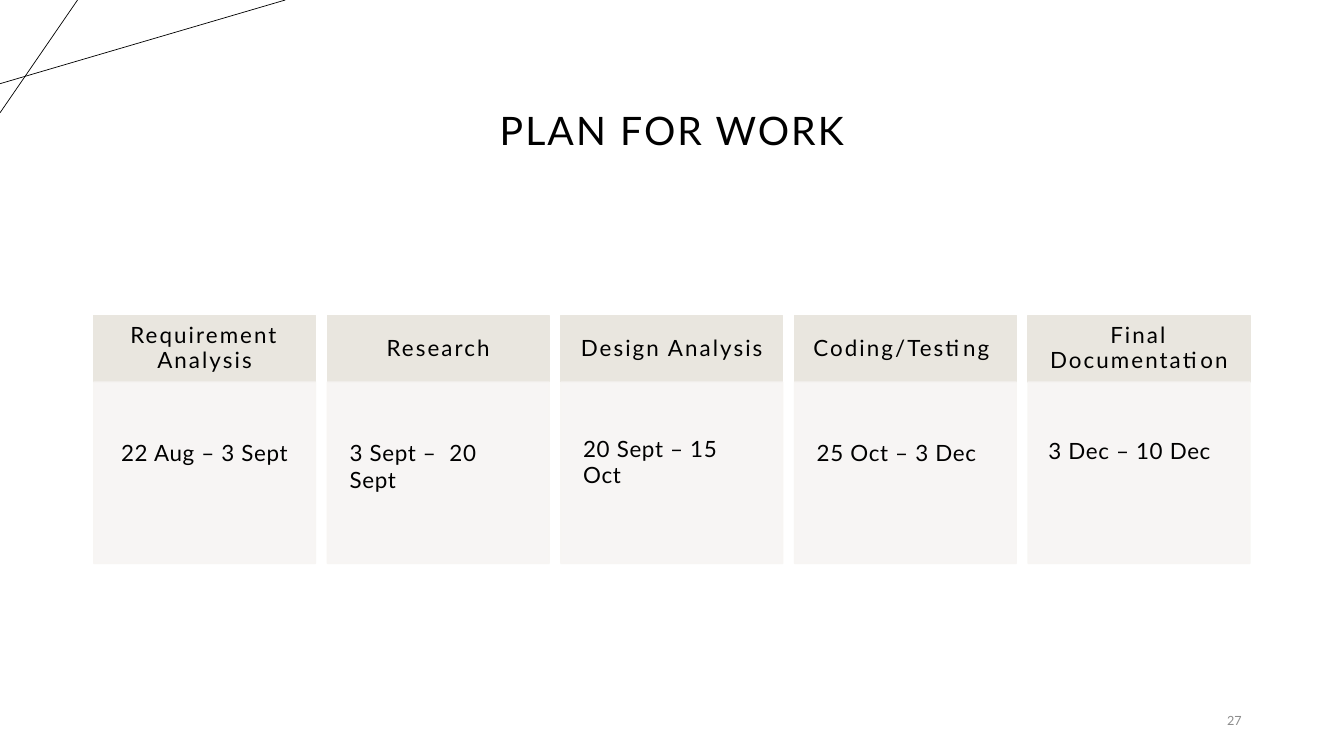
from dataclasses import dataclass

import pptx
import pptx.dml.color
import pptx.enum.shapes
import pptx.enum.text
import pptx.oxml.ns
import pptx.util
from lxml import etree

Pt = pptx.util.Pt
ALIGN = pptx.enum.text.PP_ALIGN
ANCHOR = pptx.enum.text.MSO_ANCHOR


@dataclass(frozen=True)
class Theme:
    font: str = "Lato"
    ink: str = "000000"
    muted: str = "8C8C8C"
    header: str = "E9E6DF"
    body: str = "F7F5F3"
    title_size: int = 28
    text_size: int = 16
    number_size: int = 9


THEME = Theme()
COLUMN_LEFT, COLUMN_PITCH, COLUMN_WIDTH = 67, 166.85, 158.4
HEADER_TOP, HEADER_HEIGHT, BODY_HEIGHT = 225.4, 47.5, 129.6

# Phase, dates, alignment of the dates, side inset, top inset
PHASES = [
    ("Requirement Analysis", "22 Aug – 3 Sept", ALIGN.CENTER, 15.84, 40.6),
    ("Research", "3 Sept –  20 Sept", ALIGN.LEFT, 15.84, 40.6),
    ("Design Analysis", "20 Sept – 15 Oct", ALIGN.LEFT, 15.84, 37.6),
    ("Coding/Testing ", "25 Oct – 3 Dec", ALIGN.LEFT, 15.84, 40.6),
    ("Final Documentation", "3 Dec – 10 Dec", ALIGN.LEFT, 14.4, 39.2),
]
CORNER_LINES = [((0, 59.8), (203.8, 0)), ((55.4, 0), (0, 80.6))]


def rgb(value):
    return pptx.dml.color.RGBColor.from_string(value)


def set_values(target, values):
    for name, value in values.items():
        setattr(target, name, value)


def set_text(shape, text, size, color=THEME.ink, tracking=0, frame=None, paragraph=None):
    """Write one paragraph; tracking is in points, frame and paragraph hold format values."""
    text_frame = shape.text_frame
    set_values(text_frame, {"word_wrap": True, **(frame or {})})
    line = text_frame.paragraphs[0]
    set_values(line, paragraph or {})
    run = line.add_run()
    run.text = text
    set_values(run.font, {"name": THEME.font, "size": Pt(size)})
    run.font.color.rgb = rgb(color)
    run.font._element.set("spc", str(round(tracking * 100)))


def add_text(slide, box, text, size, **formats):
    shape = slide.shapes.add_textbox(*map(Pt, box))
    set_text(shape, text, size, **formats)


def add_panel(slide, box, color, opacity=100):
    shape = slide.shapes.add_shape(
        pptx.enum.shapes.MSO_SHAPE.RECTANGLE, *map(Pt, box))
    shape.shadow.inherit = False
    shape.line.width = Pt(1)
    for fill in (shape.fill, shape.line.fill):
        fill.solid()
        fill.fore_color.rgb = rgb(color)
    if opacity < 100:
        for element in shape._element.spPr.iter(pptx.oxml.ns.qn("a:srgbClr")):
            alpha = etree.SubElement(element, pptx.oxml.ns.qn("a:alpha"))
            alpha.set("val", str(opacity * 1000))
    return shape


def add_line(slide, start, end):
    line = slide.shapes.add_connector(
        pptx.enum.shapes.MSO_CONNECTOR.STRAIGHT, *map(Pt, start + end))
    line.line.width = Pt(0.5)
    line.line.color.rgb = rgb(THEME.ink)
    etree.SubElement(line._element.spPr, pptx.oxml.ns.qn("a:effectLst"))


def add_phase(slide, left, name, dates, alignment, side, top):
    """Add one column: the phase name above its dates."""
    header = add_panel(
        slide, (left, HEADER_TOP, COLUMN_WIDTH, HEADER_HEIGHT), THEME.header)
    margins = ("margin_left", "margin_right", "margin_top", "margin_bottom")
    set_text(header, name, THEME.text_size, tracking=1.5,
             frame={"vertical_anchor": ANCHOR.MIDDLE, **dict.fromkeys(margins, Pt(12.2))},
             paragraph={"alignment": ALIGN.CENTER, "line_spacing": 0.9})
    body = add_panel(
        slide, (left, HEADER_TOP + HEADER_HEIGHT, COLUMN_WIDTH, BODY_HEIGHT),
        THEME.body, opacity=90)
    set_text(body, dates, THEME.text_size, tracking=0.5,
             frame={"vertical_anchor": ANCHOR.TOP, "margin_left": Pt(side),
                    "margin_right": Pt(side), "margin_top": Pt(top)},
             paragraph={"alignment": alignment})


def main():
    presentation = pptx.Presentation()
    set_values(presentation, {"slide_width": Pt(960), "slide_height": Pt(540)})
    slide = presentation.slides.add_slide(presentation.slide_layouts[6])
    for start, end in CORNER_LINES:
        add_line(slide, start, end)
    add_text(slide, (66, 42.5, 828, 104.4), "PLAN FOR WORK", THEME.title_size,
             tracking=1.5, frame={"vertical_anchor": ANCHOR.MIDDLE},
             paragraph={"alignment": ALIGN.CENTER, "line_spacing": 0.9})
    for index, phase in enumerate(PHASES):
        add_phase(slide, COLUMN_LEFT + index * COLUMN_PITCH, *phase)
    add_text(slide, (678, 500.4, 216, 28.8), "27", THEME.number_size,
             color=THEME.muted, frame={"vertical_anchor": ANCHOR.MIDDLE},
             paragraph={"alignment": ALIGN.RIGHT})
    presentation.save("out.pptx")


if __name__ == "__main__":
    main()
